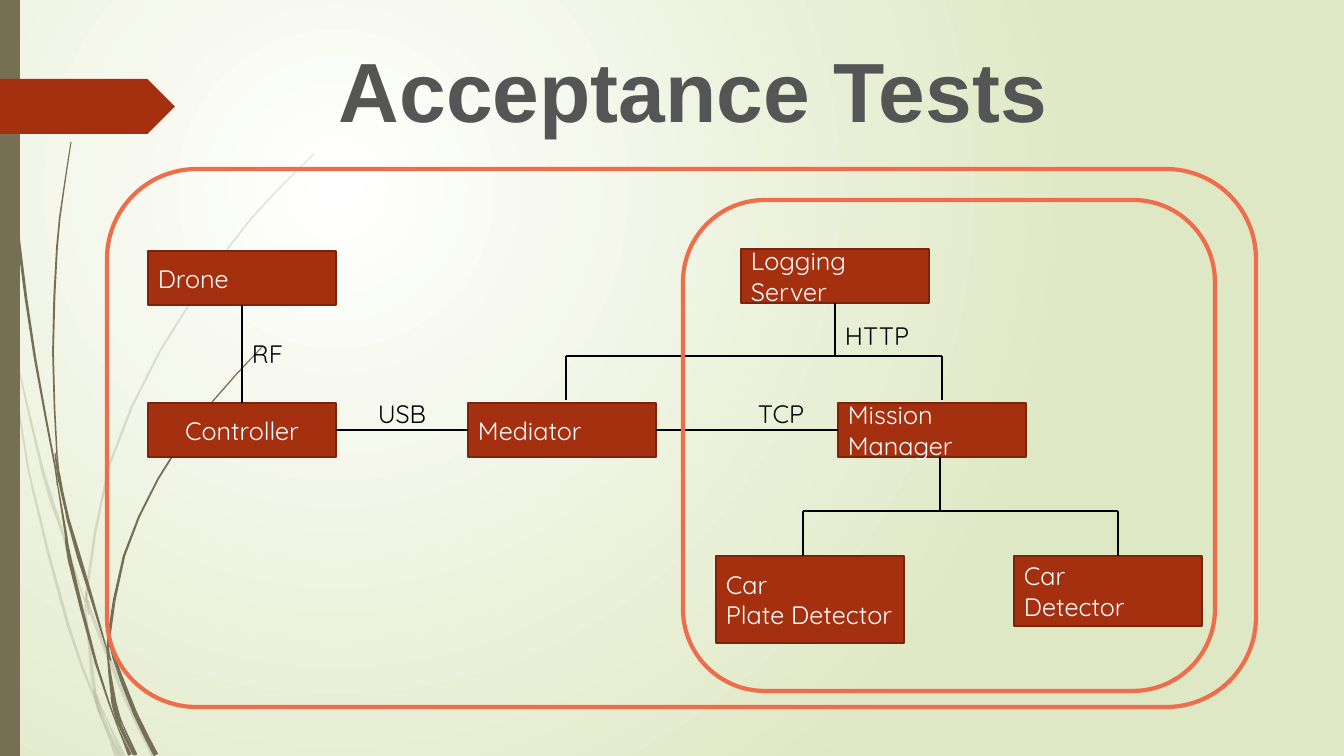
import math

import lxml.etree
import pptx
import pptx.dml.color
import pptx.enum.shapes
import pptx.enum.text
import pptx.oxml.ns
import pptx.util

SCALE = 12192000 / 1344  # EMU in one px
SHAPES = pptx.enum.shapes.MSO_SHAPE
ALIGN = pptx.enum.text.PP_ALIGN
ANCHOR = pptx.enum.text.MSO_ANCHOR
TOP, LEFT, BOTTOM, RIGHT = range(4)

COLORS = {
    "page_centre": "FFFFFF", "page_edge": "DFE8C4", "wisp": "766F54",
    "brick": "A53010", "brick_edge": "7A240C", "frame": "EE6E4B",
    "title": "555555", "node_text": "FFFFFF", "ink": "000000",
}

# Blades of grass: centre line, then widths at start, middle and end
PALE_BLADES = [
    ([(0, 285), (7, 325), (11, 353)], (8, 4, 1)),
    ([(14, 348), (43, 472), (60, 525), (85, 602)], (1, 4, 1)),
    ([(89, 601), (91, 613), (126, 699), (154, 756)], (1, 4, 5)),
    ([(106, 717), (123, 756)], (1, 2, 5)),
    ([(11, 353), (29, 473), (68, 625), (93, 694), (102, 720)], (1, 3, 1)),
    ([(85, 604), (90, 651), (95, 693), (106, 717)], (1, 4, 1)),
    ([(314, 154), (269, 199), (229, 247), (160, 351), (109, 466), (87, 589),
      (87, 600)], (1, 2, 3)),
    ([(102, 720), (117, 756)], (1, 2, 5)),
    ([(86, 591), (87, 604), (89, 615)], (1, 3, 1)),
    ([(94, 688), (99, 709), (120, 756)], (1, 4, 1)),
]
DARK_BLADES = [
    ([(4, 0), (5, 48), (8, 110), (18, 235), (35, 358), (55, 466), (57, 485)], (1, 3, 1)),
    ([(60, 476), (68, 519), (91, 596), (107, 650)], (1, 4, 1)),
    ([(111, 646), (114, 658), (135, 713), (156, 755)], (1, 4, 5)),
    ([(57, 481), (66, 535), (70, 561), (96, 663), (118, 728)], (1, 4, 1)),
    ([(71, 142), (63, 195), (57, 247), (53, 352), (57, 455), (60, 476)], (1, 2, 1)),
    ([(123, 725), (136, 755)], (1, 2, 3)),
    ([(55, 453), (59, 478), (65, 509)], (1, 3, 1)),
    ([(262, 347), (206, 409), (158, 479), (124, 556), (109, 636), (111, 646)], (1, 2, 4)),
    ([(118, 728), (130, 755)], (1, 2, 4)),
    ([(107, 650), (114, 703), (123, 725)], (1, 5, 1)),
    ([(108, 636), (108, 652), (111, 661)], (1, 3, 1)),
    ([(111, 697), (118, 721), (134, 755)], (1, 4, 2)),
]

# Places inside the diagram box: left, top, width, height
NODES = {
    "Car\nDetector": (907, 387, 188, 70),
    "Car\nPlate Detector": (609, 387, 188, 87),
    "Mission Manager": (731, 234, 188, 54),
    "Logging Server": (634, 80, 188, 54),
    "Mediator": (361, 234, 188, 54),
    "Drone": (41, 82, 188, 54),
    "Controller": (41, 234, 188, 54),
}
LINKS = [
    ("Drone", BOTTOM, "Controller", TOP),
    ("Controller", RIGHT, "Mediator", LEFT),
    ("Mediator", RIGHT, "Mission Manager", LEFT),
]
# Parent, stem x, bar y, drop xs, drop end y
FORKS = [
    ("Logging Server", 728, 187, (459, 835), 231),
    ("Mission Manager", 833, 342, (696, 1011), 387),
]
LABELS = {"RF": (135, 164, 54), "USB": (261, 224, 105),
          "HTTP": (728, 146, 105), "TCP": (641, 224, 105)}


def px(*lengths):
    return [pptx.util.Emu(round(length * SCALE)) for length in lengths]


def rgb(name):
    return pptx.dml.color.RGBColor.from_string(COLORS[name])


def paint(shape, fill=None, line=None, width=1):
    shape.shadow.inherit = False
    if fill:
        shape.fill.solid()
        shape.fill.fore_color.rgb = rgb(fill)
    else:
        shape.fill.background()
    if line:
        shape.line.color.rgb = rgb(line)
        shape.line.width = pptx.util.Pt(width)
    else:
        shape.line.fill.background()


def write(shape, text, color, name="Quicksand", size=18, bold=False,
          align=ALIGN.LEFT, anchor=ANCHOR.TOP):
    frame = shape.text_frame
    frame.text = text
    settings = {"word_wrap": True, "vertical_anchor": anchor,
                "auto_size": pptx.enum.text.MSO_AUTO_SIZE.NONE}
    for key, value in settings.items():
        setattr(frame, key, value)
    for para in frame.paragraphs:
        para.alignment = align
        for span in para.runs:
            span.font.color.rgb = rgb(color)
            for key, value in {"name": name, "size": pptx.util.Pt(size), "bold": bold}.items():
                setattr(span.font, key, value)


def add_line(page, start, end):
    line = page.shapes.add_connector(
        pptx.enum.shapes.MSO_CONNECTOR.STRAIGHT, *px(*start, *end))
    line.line.color.rgb = rgb("ink")
    line.line.width = pptx.util.Pt(1.5)
    properties = line.element.find(pptx.oxml.ns.qn("p:spPr"))
    lxml.etree.SubElement(properties, pptx.oxml.ns.qn("a:effectLst"))
    return line


def smooth_curve(points):
    """Points with a Catmull-Rom midpoint between each pair."""
    padded = [points[0], *points, points[-1]]
    curve = []
    for a, b, c, d in zip(padded, padded[1:], padded[2:], padded[3:]):
        middle = tuple((9 * (q + r) - p - s) / 16 for p, q, r, s in zip(a, b, c, d))
        curve += [b, middle]
    return curve + [points[-1]]


def draw_blade(group, points, widths, opacity):
    curve = smooth_curve(points)
    last = len(curve) - 1
    start, middle, end = widths
    left_edge, right_edge = [], []
    for index, (x, y) in enumerate(curve):
        x0, y0 = curve[max(index - 1, 0)]
        x1, y1 = curve[min(index + 1, last)]
        t = 2 * index / last
        width = start + (middle - start) * t if t < 1 else middle + (end - middle) * (t - 1)
        ratio = width / 2 / math.hypot(x1 - x0, y1 - y0)
        dx, dy = ratio * (y1 - y0), ratio * (x1 - x0)
        left_edge.append(px(x - dx, y + dy))
        right_edge.append(px(x + dx, y - dy))
    outline = left_edge + right_edge[::-1]
    builder = group.shapes.build_freeform(*outline[0])
    builder.add_line_segments(outline[1:], close=True)
    blade = builder.convert_to_shape()
    paint(blade, "wisp")
    if opacity < 100:
        color = blade.element.xpath("./p:spPr/a:solidFill/a:srgbClr")[0]
        lxml.etree.SubElement(color, pptx.oxml.ns.qn("a:alpha"), val=str(opacity * 1000))


def draw_backdrop(page, box):
    left, top, width, height = box
    # Radial background
    fill = page.background.fill
    fill.gradient()
    for stop, name in zip(fill.gradient_stops, ("page_centre", "page_edge")):
        stop.color.rgb = rgb(name)
    gradient = page.element.xpath(".//p:bg//a:gradFill")[0]
    for linear in gradient.xpath("./a:lin"):
        gradient.remove(linear)
    radial = lxml.etree.SubElement(gradient, pptx.oxml.ns.qn("a:path"), {"path": "circle"})
    lxml.etree.SubElement(radial, pptx.oxml.ns.qn("a:fillToRect"),
                          l="50000", t="50000", r="100000", b="100000")
    # Two tufts of grass, side bar and tag
    for blades, opacity in ((PALE_BLADES, 20), (DARK_BLADES, 100)):
        tuft = page.shapes.add_group_shape()
        for points, widths in blades:
            draw_blade(tuft, [(left + x, top + y) for x, y in points], widths, opacity)
    bar = page.shapes.add_shape(SHAPES.RECTANGLE, *px(left, top, 20, height))
    paint(bar, "wisp")
    tag = page.shapes.add_shape(SHAPES.PENTAGON, *px(left, top + 79, 175, 55))
    paint(tag, "brick")


def draw_title(page, box):
    title = page.shapes.title
    for key, value in zip(("left", "top", "width", "height"), px(*box)):
        setattr(title, key, value)
    write(title, "Acceptance Tests", "title", "Arial", 60, True, ALIGN.RIGHT, ANCHOR.BOTTOM)
    title.element.xpath(".//a:rPr")[0].set("kern", "0")


def draw_diagram(page, box):
    left, top, width, height = box
    # Nodes
    nodes = {}
    for text, (x, y, w, h) in NODES.items():
        node = page.shapes.add_shape(SHAPES.RECTANGLE, *px(left + x, top + y, w, h))
        paint(node, "brick", "brick_edge", 1.25)
        align = ALIGN.CENTER if text == "Controller" else ALIGN.LEFT
        write(node, text, "node_text", align=align, anchor=ANCHOR.MIDDLE)
        nodes[text] = node
    # Direct links
    for source, source_side, target, target_side in LINKS:
        link = add_line(page, (left, top), (left, top))
        link.begin_connect(nodes[source], source_side)
        link.end_connect(nodes[target], target_side)
    # Forks: stem, bar and drops
    for parent, stem, bar, drops, end in FORKS:
        x, y, w, h = NODES[parent]
        line = add_line(page, (left + stem, top + y + h), (left + stem, top + bar))
        if stem == x + w // 2:
            line.begin_connect(nodes[parent], BOTTOM)
        add_line(page, (left + drops[0], top + bar), (left + drops[1], top + bar))
        for drop in drops:
            add_line(page, (left + drop, top + bar), (left + drop, top + end))
    # Protocol labels
    for text, (x, y, w) in LABELS.items():
        label = page.shapes.add_textbox(*px(left + x, top + y, w, 40))
        write(label, text, "ink")
    # Test scope frames
    for x, y, w, h in ((576, 31, 532, 491), (0, 0, width, height)):
        scope = page.shapes.add_shape(SHAPES.ROUNDED_RECTANGLE, *px(left + x, top + y, w, h))
        paint(scope, None, "frame", 3)


def main():
    deck = pptx.Presentation()
    deck.slide_width, deck.slide_height = px(1344, 756)
    page = deck.slides.add_slide(deck.slide_layouts.get_by_name("Title Only"))
    draw_backdrop(page, (0, 0, 1344, 756))
    draw_title(page, (286, 32, 771, 112))
    draw_diagram(page, (107, 169, 1149, 538))
    deck.save("out.pptx")


if __name__ == "__main__":
    main()
